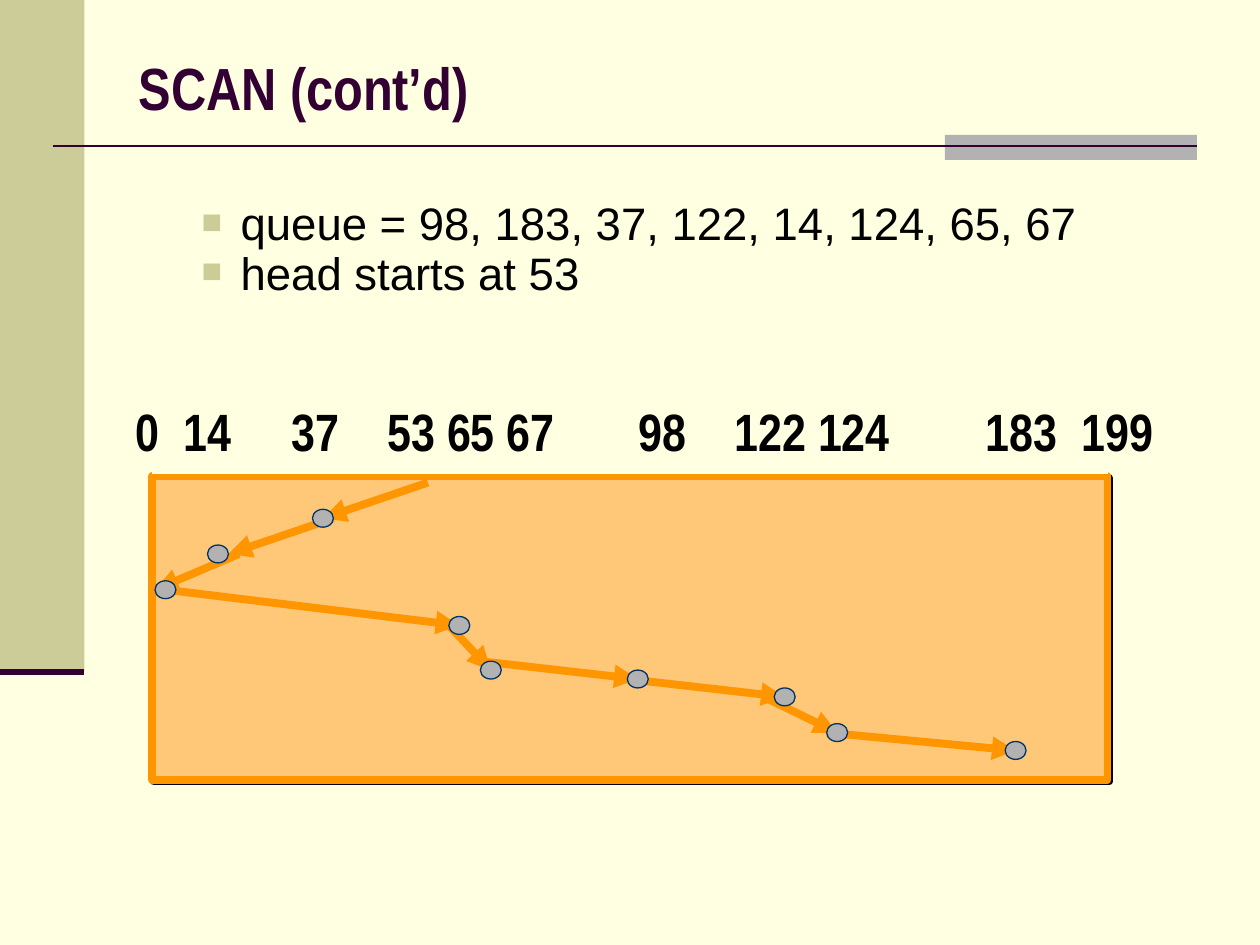
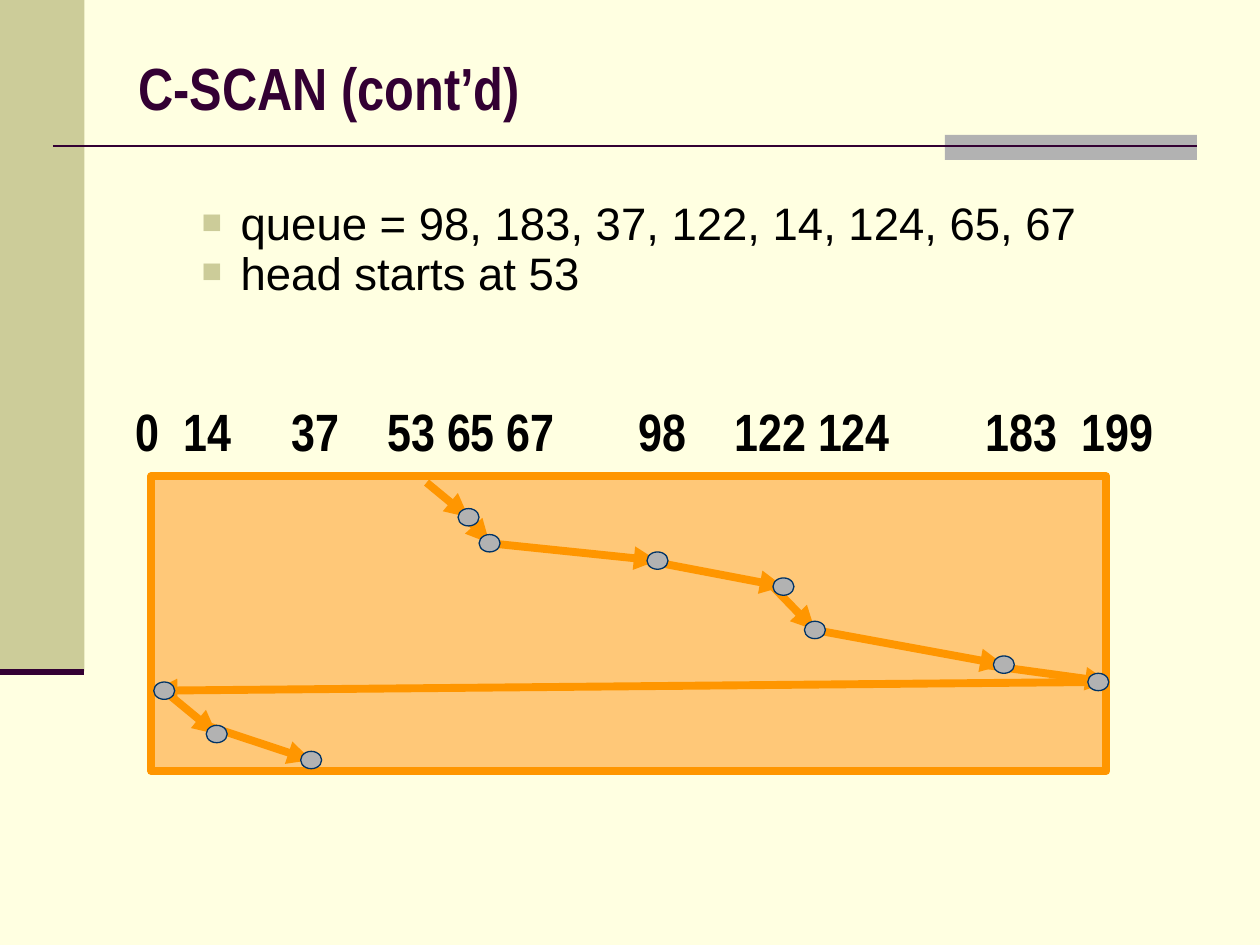
from dataclasses import dataclass

from lxml.etree import SubElement
from pptx import Presentation
from pptx.dml.color import RGBColor
from pptx.enum.shapes import MSO_CONNECTOR, MSO_SHAPE
from pptx.enum.text import MSO_ANCHOR, MSO_AUTO_SIZE, PP_ALIGN
from pptx.oxml.ns import qn
from pptx.util import Inches, Pt


@dataclass(frozen=True)
class Theme:
    page: str = "FFFFE1"
    band: str = "CCCC99"
    plum: str = "330033"
    grey: str = "B2B2B2"
    plot: str = "FFC878"
    orange: str = "FF9600"
    navy: str = "003366"
    black: str = "000000"
    head_font: str = "Arial Narrow"
    body_font: str = "Arial"
    title_size: float = 34
    body_size: float = 26
    label_size: float = 30


@dataclass(frozen=True)
class Box:
    x: float
    y: float
    w: float
    h: float

    def emu(self):
        return [cells(v) for v in (self.x, self.y, self.w, self.h)]

    def point(self, col, row):
        return self.x + col * self.w / PLOT_COLS, self.y + row * self.h / PLOT_ROWS


T = Theme()
SLIDE_COLS, SLIDE_ROWS = 100, 75
PLOT_COLS, PLOT_ROWS = 91, 34
TITLE_BOX = Box(10, 3, 85, 7.7)
BODY_BOX = Box(10, 16.2, 76.7, 8.8)
LABEL_BOX = Box(9.8, 31.2, 84, 6)
SCALE_BOX = Box(12.1, 36.1, 75.8, 1.3)
SCAN_BOX = Box(12.1, 37.8, 75.8, 24.1)
CSCAN_BOX = Box(12, 37.8, 75.8, 23.4)

QUEUE = ["queue = 98, 183, 37, 122, 14, 124, 65, 67", "head starts at 53"]
LABEL_PITCH = 0.95
LABELS = {"0": 0, "14": 4, "37": 13, "53": 21, "65": 26, "67": 31,
          "98": 42, "122": 50, "124": 57, "183": 71, "199": 79}
TICKS = [48, 60, 65, 82, 91, 34, 30, 25, 15, 5, 0]
HEAD = (26, 0)
SCAN_STOPS = [
    # dot, arrival, departure
    ((15, 3), (16, 4), (17, 4)),
    ((5, 7), (7, 8), (8, 8)),
    ((0, 11), (0, 12), (1, 12)),
    ((28, 15), (29, 16), (28, 16)),
    ((31, 20), (32, 21), (31, 20)),
    ((45, 21), (46, 22), (45, 22)),
    ((59, 23), (60, 24), (58, 24)),
    ((64, 27), (65, 28), (64, 28)),
    ((81, 29), (82, 30), None),
]
CSCAN_STOPS = [
    ((29, 3), (30, 4), (29, 3)),
    ((31, 6), (32, 7), (32, 7)),
    ((47, 8), (48, 9), (47, 9)),
    ((59, 11), (60, 12), (59, 12)),
    ((62, 16), (63, 17), (63, 17)),
    ((80, 20), (81, 21), (79, 21)),
    ((89, 22), (91, 23), (90, 23)),
    ((0, 23), (0, 24), (1, 24)),
    ((5, 28), (6, 29), (5, 28)),
    ((14, 31), (15, 32), None),
]


def cells(n):
    return Inches(n / 10)


def rgb(color):
    return RGBColor.from_string(color)


def style_runs(p, font, size, color, bold=False):
    for r in p.runs:
        r.font.name = font
        r.font.size = Pt(size)
        r.font.bold = bold
        r.font.color.rgb = rgb(color)


def add_block(s, kind, box, fill, line=None, width=0):
    sp = s.shapes.add_shape(kind, *box.emu())
    sp.shadow.inherit = False
    sp.fill.solid()
    sp.fill.fore_color.rgb = rgb(fill)
    if line:
        sp.line.color.rgb = rgb(line)
        sp.line.width = Pt(width)
    else:
        sp.line.fill.background()
    return sp


def add_line(s, start, end, color, width, arrow=False):
    ends = [cells(v) for v in (*start, *end)]
    sp = s.shapes.add_connector(MSO_CONNECTOR.STRAIGHT, *ends)
    sp.line.color.rgb = rgb(color)
    sp.line.width = Pt(width)
    if arrow:
        SubElement(sp.line._get_or_add_ln(), qn("a:tailEnd"), type="triangle")
    SubElement(sp._element.spPr, qn("a:effectLst"))
    return sp


def dress_master(prs, s):
    master = prs.slide_master
    master.background.fill.solid()
    master.background.fill.fore_color.rgb = rgb(T.page)
    parts = [
        add_block(s, MSO_SHAPE.RECTANGLE, Box(0, 0, 6.7, 53.3), T.band),
        add_block(s, MSO_SHAPE.RECTANGLE, Box(75, 10.7, 20, 2), T.grey),
        add_line(s, (4.2, 11.6), (95, 11.6), T.plum, 1.5),
        add_line(s, (0, 53.3), (6.7, 53.3), T.plum, 3.5),
    ]
    for i, sp in enumerate(parts):
        master.shapes.element.insert(2 + i, sp._element)


def place(sp, box):
    sp.left, sp.top, sp.width, sp.height = box.emu()
    sp.text_frame.auto_size = MSO_AUTO_SIZE.NONE
    return sp.text_frame


def fill_title(s, box, title):
    tf = place(s.shapes.title, box)
    tf.text = title
    tf.vertical_anchor = MSO_ANCHOR.MIDDLE
    p = tf.paragraphs[0]
    p.alignment = PP_ALIGN.LEFT
    style_runs(p, T.head_font, T.title_size, T.plum, True)


def add_bullet(p):
    pPr = p._p.get_or_add_pPr()
    pPr.set("marL", str(cells(8.1)))
    pPr.set("indent", str(cells(-3.1)))
    SubElement(SubElement(pPr, qn("a:buClr")), qn("a:srgbClr"), val=T.band)
    SubElement(pPr, qn("a:buSzPct"), val="75000")
    SubElement(pPr, qn("a:buFont"), typeface=T.body_font)
    SubElement(pPr, qn("a:buChar"), char="■")


def fill_body(s, box, lines):
    tf = place(s.placeholders[1], box)
    tf.vertical_anchor = MSO_ANCHOR.TOP
    tf.text = "\n".join(lines)
    for i, p in enumerate(tf.paragraphs):
        p.level = 1
        add_bullet(p)
        p.line_spacing = 0.7
        p.space_before = Pt(6.5 if i else 0)
        style_runs(p, T.body_font, T.body_size, T.black)


def add_labels(s, box):
    tf = s.shapes.add_textbox(*box.emu()).text_frame
    tf.word_wrap = True
    tf.margin_right = 0
    p = tf.paragraphs[0]
    tabs = SubElement(p._p.get_or_add_pPr(), qn("a:tabLst"))
    for offset in list(LABELS.values())[1:]:
        SubElement(tabs, qn("a:tab"), pos=str(cells(offset * LABEL_PITCH)), algn="l")
    p.text = "\t".join(LABELS)
    style_runs(p, T.head_font, T.label_size, T.black, True)


def add_scale(s, box):
    bottom = box.y + box.h
    for col in TICKS:
        x, top = box.point(col, 0)
        add_line(s, (x, bottom), (x, top), T.page, 4.5)
    add_line(s, (box.x, bottom), (box.x + box.w, bottom), T.page, 3)


def add_plot(s, box, shadow=False):
    sp = add_block(s, MSO_SHAPE.RECTANGLE, box, T.plot, T.orange, 4.5)
    if shadow:
        effects = sp._element.spPr.find(qn("a:effectLst"))
        drop = SubElement(effects, qn("a:outerShdw"), dist=str(Pt(1.4)),
                          dir="2700000", algn="ctr", rotWithShape="0")
        SubElement(drop, qn("a:srgbClr"), val=T.black)


def add_route(s, box, stops):
    grid = Box(box.x + 0.2, box.y + 0.5, box.w, box.h)
    start = HEAD
    for _, arrival, departure in stops:
        add_line(s, grid.point(*start), grid.point(*arrival), T.orange, 4.5, True)
        start = departure
    for dot, _, _ in stops:
        dot_box = Box(*grid.point(*dot), 2 * grid.w / PLOT_COLS, 2 * grid.h / PLOT_ROWS)
        add_block(s, MSO_SHAPE.OVAL, dot_box, T.grey, T.navy, 0.75)


def add_disk_slide(prs, title):
    s = prs.slides.add_slide(prs.slide_layouts[1])
    fill_title(s, TITLE_BOX, title)
    fill_body(s, BODY_BOX, QUEUE)
    return s


def scan_slide(prs):
    s = add_disk_slide(prs, "SCAN (cont’d)")
    add_plot(s, SCAN_BOX, shadow=True)
    add_labels(s, LABEL_BOX)
    add_scale(s, SCALE_BOX)
    add_route(s, SCAN_BOX, SCAN_STOPS)
    return s


def cscan_slide(prs):
    s = add_disk_slide(prs, "C-SCAN (cont’d)")
    add_labels(s, LABEL_BOX)
    add_scale(s, SCALE_BOX)
    add_plot(s, CSCAN_BOX)
    add_route(s, CSCAN_BOX, CSCAN_STOPS)


def main():
    prs = Presentation()
    prs.slide_width, prs.slide_height = cells(SLIDE_COLS), cells(SLIDE_ROWS)
    dress_master(prs, scan_slide(prs))
    cscan_slide(prs)
    prs.save("out.pptx")


if __name__ == "__main__":
    main()
